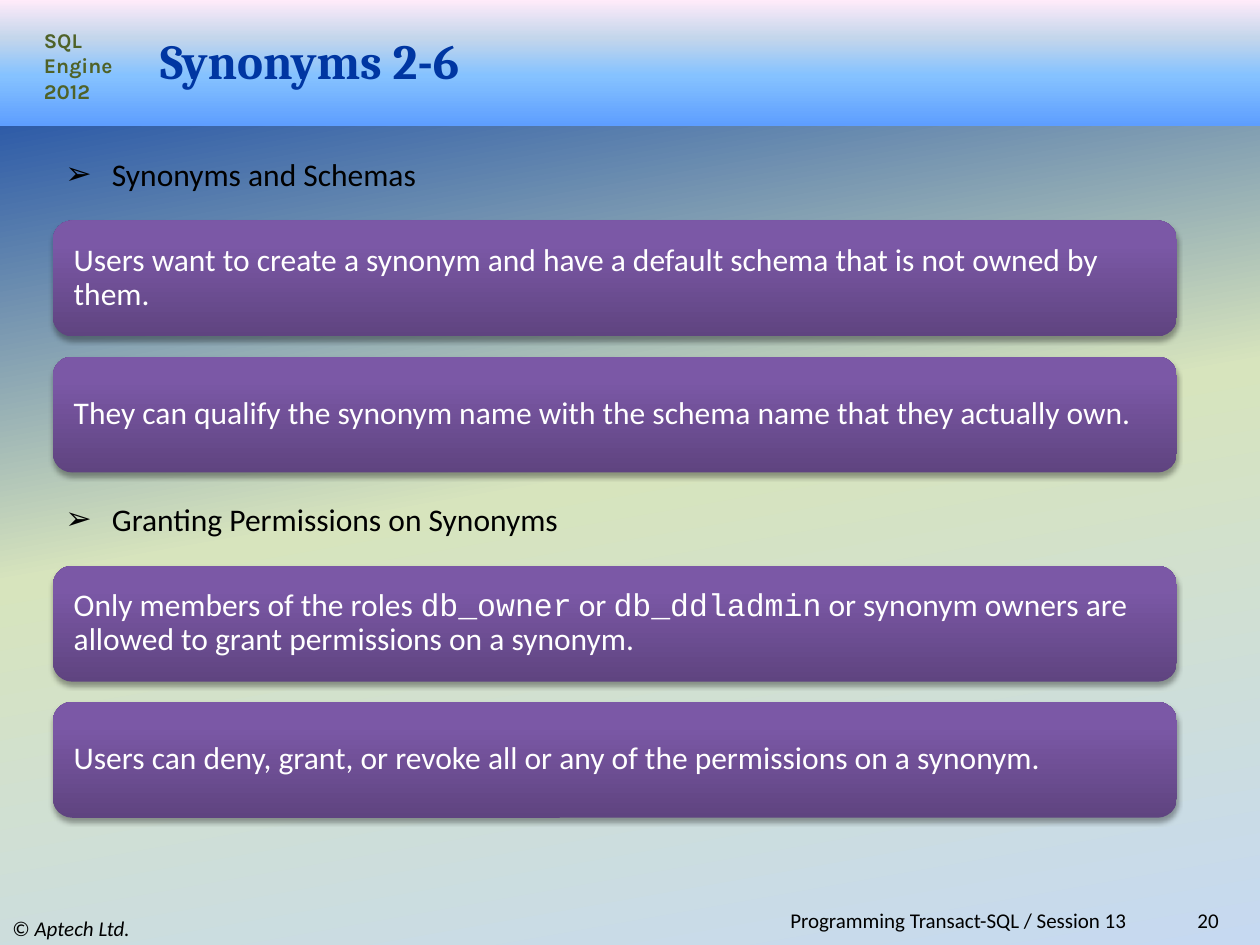
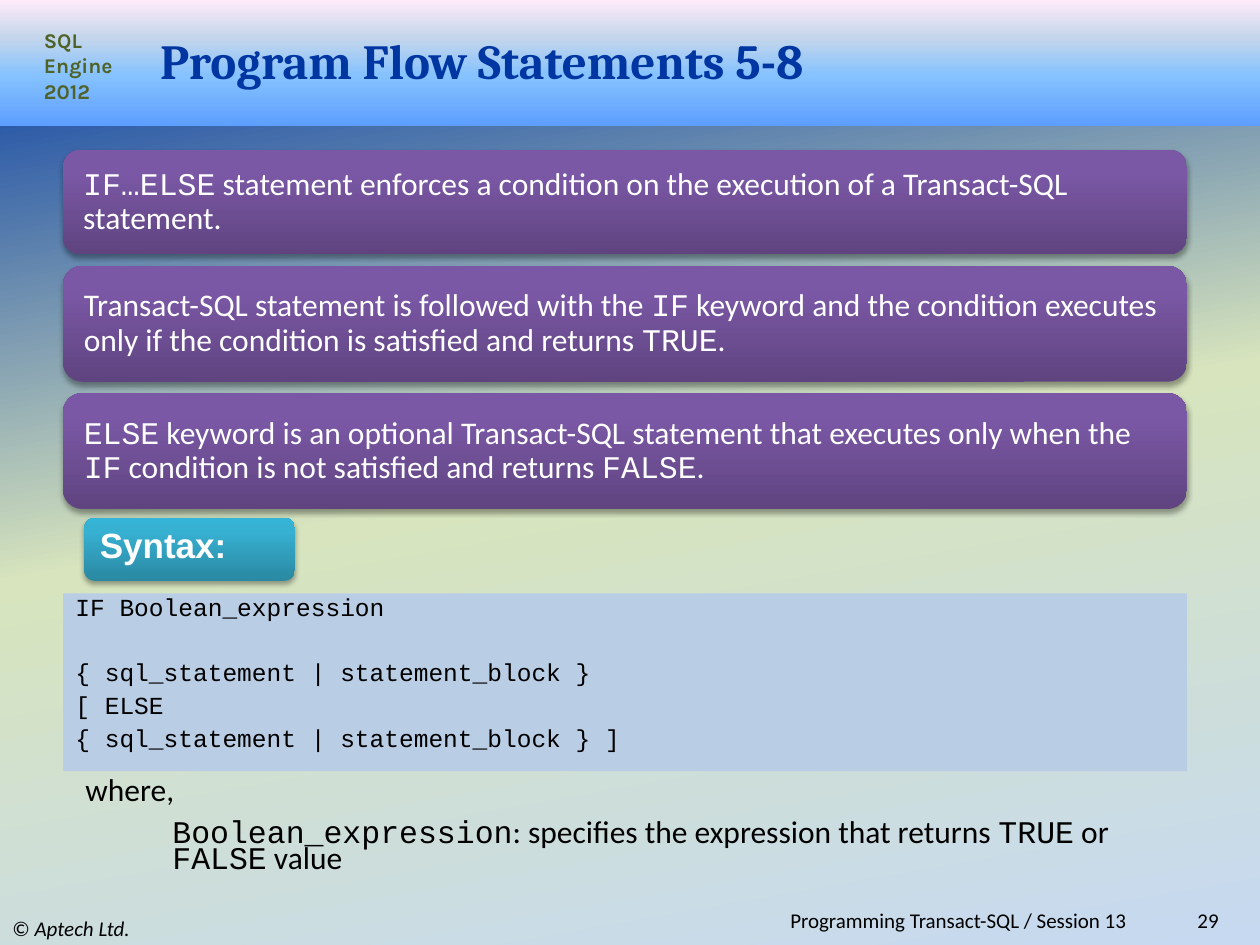
"""Build two lesson slides on synonyms and program flow statements."""
from lxml.etree import SubElement
from pptx import Presentation
from pptx.dml.color import RGBColor
from pptx.enum.shapes import MSO_SHAPE
from pptx.enum.text import MSO_ANCHOR, PP_ALIGN
from pptx.oxml.ns import qn
from pptx.util import Inches, Pt

COLORS = {
    "title": "0036A2", "text": "000000", "light": "FFFFFF",
    "label": "4F6228", "code": "B9CDE5",
}
GRADIENTS = {
    "page": (80, [(0, "0036A2"), (50, "D7E4BD"), (100, "C6D9F1")]),
    "band": (270, [(0, "5E9EFF"), (40, "85C2FF"), (70, "C4D6EB"), (100, "FFEBFA")]),
    "card": (270, [(0, "5F4480"), (80, "7B58A6"), (100, "7C57A8")]),
    "syntax": (270, [(0, "2A88A2"), (80, "37B1D2"), (100, "34B4D6")]),
}
BODY, MONO = "Calibri", "Courier New"
PRODUCT = "SQL Engine 2012"
FOOTER = "Programming Transact-SQL / Session 13"
CARD_WIDTH = 8.92

SYNONYMS = {
    "title": "Synonyms 2-6",
    "number": "20",
    "sections": [
        ("Synonyms and Schemas", [
            (0.92, "Users want to create a synonym and have a default schema that is not owned by them."),
            (0.92, "They can qualify the synonym name with the schema name that they actually own."),
        ]),
        ("Granting Permissions on Synonyms", [
            (0.92, "Only members of the roles `db_owner` or `db_ddladmin` or synonym owners are "
                   "allowed to grant permissions on a synonym."),
            (0.92, "Users can deny, grant, or revoke all or any of the permissions on a synonym."),
        ]),
    ],
}
PROGRAM_FLOW = {
    "title": "Program Flow Statements 5-8",
    "number": "29",
    "cards": [
        (0.83, "`IF…ELSE` statement enforces a condition on the execution of a Transact-SQL statement."),
        (0.92, "Transact-SQL statement is followed with the `IF` keyword and the condition executes "
               "only if the condition is satisfied and returns `TRUE`."),
        (0.92, "`ELSE` keyword is an optional Transact-SQL statement that executes only when the "
               "`IF` condition is not satisfied and returns `FALSE`."),
    ],
    "syntax": "Syntax:",
    "code": [
        (0, "IF Boolean_expression"),
        (25.5, "{ sql_statement | statement_block }"),
        (7.2, "[ ELSE"),
        (7.2, "{ sql_statement | statement_block } ]"),
    ],
    "where": "where,",
    "meaning": "`Boolean_expression`: specifies the expression that returns `TRUE` or `FALSE` value",
}


def paint_gradient(owner, fill, name):
    """Fill a shape or master background with a named gradient."""
    fill.solid()
    solid = next(owner.element.iter(qn("a:solidFill")))
    angle, stops = GRADIENTS[name]
    gradient = solid.makeelement(qn("a:gradFill"), {"rotWithShape": "1"})
    stop_list = SubElement(gradient, qn("a:gsLst"))
    for position, color in stops:
        stop = SubElement(stop_list, qn("a:gs"), pos=str(position * 1000))
        SubElement(stop, qn("a:srgbClr"), val=color)
    SubElement(gradient, qn("a:lin"), ang=str(angle * 60000), scaled="0")
    solid.getparent().replace(solid, gradient)


def write(para, text, size=18, color="text", font=BODY, bold=False, italic=False):
    """Add runs to a paragraph, setting backticked parts in the code font."""
    for index, part in enumerate(text.split("`")):
        if part:
            span = para.add_run()
            span.text = part
            span.font.name = MONO if index % 2 else font
            span.font.size = Pt(size)
            span.font.bold = bold
            span.font.italic = italic
            span.font.color.rgb = RGBColor.from_string(COLORS[color])


def prepare_text(box, anchor=MSO_ANCHOR.TOP, align=PP_ALIGN.LEFT):
    """Wrap and align the text of a box and return its first paragraph."""
    frame = box.text_frame
    frame.word_wrap = True
    frame.vertical_anchor = anchor
    para = frame.paragraphs[0]
    para.alignment = align
    return para


def add_text(page, area, anchor=MSO_ANCHOR.TOP, align=PP_ALIGN.LEFT):
    """Add a text box and return its first paragraph and frame."""
    box = page.shapes.add_textbox(*map(Inches, area))
    return prepare_text(box, anchor, align), box.text_frame


def add_panel(page, kind, area, gradient=None, shadow=False):
    """Add a borderless shape with an optional gradient and soft shadow."""
    panel = page.shapes.add_shape(kind, *map(Inches, area))
    panel.line.fill.background()
    panel.shadow.inherit = False
    if gradient:
        paint_gradient(panel, panel.fill, gradient)
    if shadow:
        effects = next(panel.element.iter(qn("a:effectLst")))
        outer = SubElement(effects, qn("a:outerShdw"), blurRad="40000", dist="23000",
                           dir="5400000", rotWithShape="0")
        black = SubElement(outer, qn("a:srgbClr"), val=COLORS["text"])
        SubElement(black, qn("a:alpha"), val="35000")
    return panel


def add_page(deck, content):
    """Add a page with the shared band, title, label and footers."""
    page = deck.slides.add_slide(deck.slide_layouts[5])
    title = page.shapes.title
    band = add_panel(page, MSO_SHAPE.RECTANGLE, (0, 0, 10, 1), "band")
    title.element.addprevious(band.element)
    title.left, title.top, title.width, title.height = map(Inches, (1.17, 0.25, 8.33, 0.45))
    write(prepare_text(title, MSO_ANCHOR.MIDDLE), content["title"], 28, "title", "Cambria", bold=True)

    para, _ = add_text(page, (0.25, 0.17, 0.75, 0.71))
    write(para, PRODUCT, 12, "label", "Karla", bold=True)
    para, _ = add_text(page, (0, 7.23, 3.33, 0.27), MSO_ANCHOR.MIDDLE)
    write(para, "© ", 12)
    write(para, "Aptech Ltd.", 12, italic=True)
    for area, text in (((2.5, 7.21, 6.54, 0.18), FOOTER),
                       ((8.92, 7.21, 0.85, 0.18), content["number"])):
        para, _ = add_text(page, area, MSO_ANCHOR.MIDDLE, PP_ALIGN.RIGHT)
        write(para, text, 12)
    return page


def stack_cards(page, left, top, gap, cards):
    """Stack cards downwards with an equal gap."""
    for height, text in cards:
        card = add_panel(page, MSO_SHAPE.ROUNDED_RECTANGLE,
                         (left, top, CARD_WIDTH, height), "card", shadow=True)
        card.text_frame.margin_left = Inches(0.12)
        card.text_frame.margin_right = Inches(0.1)
        para = prepare_text(card, MSO_ANCHOR.MIDDLE)
        para.line_spacing = 0.9
        write(para, text, color="light")
        top += height + gap


def add_heading(page, top, text):
    """Add a section heading with an arrow bullet."""
    para, _ = add_text(page, (0.42, top, 9, 0.4))
    properties = para._p.get_or_add_pPr()
    properties.set("marL", str(Inches(0.37)))
    properties.set("indent", str(-Inches(0.37)))
    SubElement(properties, qn("a:buFont"), typeface=BODY)
    SubElement(properties, qn("a:buChar"), char="➢")
    write(para, text)


def build_synonyms(deck):
    """Build the page of headed card sections."""
    page = add_page(deck, SYNONYMS)
    for index, (heading, cards) in enumerate(SYNONYMS["sections"]):
        top = 1.18 + index * 2.74
        add_heading(page, top, heading)
        stack_cards(page, 0.42, top + 0.57, 0.16, cards)


def build_program_flow(deck):
    """Build the page of cards, syntax code and explanation."""
    page = add_page(deck, PROGRAM_FLOW)
    stack_cards(page, 0.5, 1.19, 0.09, PROGRAM_FLOW["cards"])

    tag = add_panel(page, MSO_SHAPE.ROUNDED_RECTANGLE, (0.67, 4.11, 1.67, 0.5), "syntax", shadow=True)
    para = prepare_text(tag, MSO_ANCHOR.MIDDLE)
    para.line_spacing = 0.7
    write(para, PROGRAM_FLOW["syntax"], 20, "light", "Arial", bold=True)

    code = add_panel(page, MSO_SHAPE.RECTANGLE, (0.5, 4.71, CARD_WIDTH, 1.41))
    code.fill.solid()
    code.fill.fore_color.rgb = RGBColor.from_string(COLORS["code"])
    para = prepare_text(code)
    for index, (space, line) in enumerate(PROGRAM_FLOW["code"]):
        if index:
            para = code.text_frame.add_paragraph()
            para.alignment = PP_ALIGN.LEFT
            para.space_before = Pt(space)
        para.line_spacing = 0.7
        write(para, line, 14, font=MONO)

    para, frame = add_text(page, (0.58, 6.14, 9, 0.89))
    para.line_spacing = 0.7
    write(para, PROGRAM_FLOW["where"])
    para = frame.add_paragraph()
    para._p.get_or_add_pPr().set("marL", str(Inches(0.69)))
    para.line_spacing = 0.7
    para.space_before = Pt(9)
    write(para, PROGRAM_FLOW["meaning"])


def main():
    """Create and save the deck."""
    deck = Presentation()
    deck.slide_width, deck.slide_height = Inches(10), Inches(7.5)
    master = deck.slide_master
    paint_gradient(master, master.background.fill, "page")
    build_synonyms(deck)
    build_program_flow(deck)
    deck.save("out.pptx")


if __name__ == "__main__":
    main()
